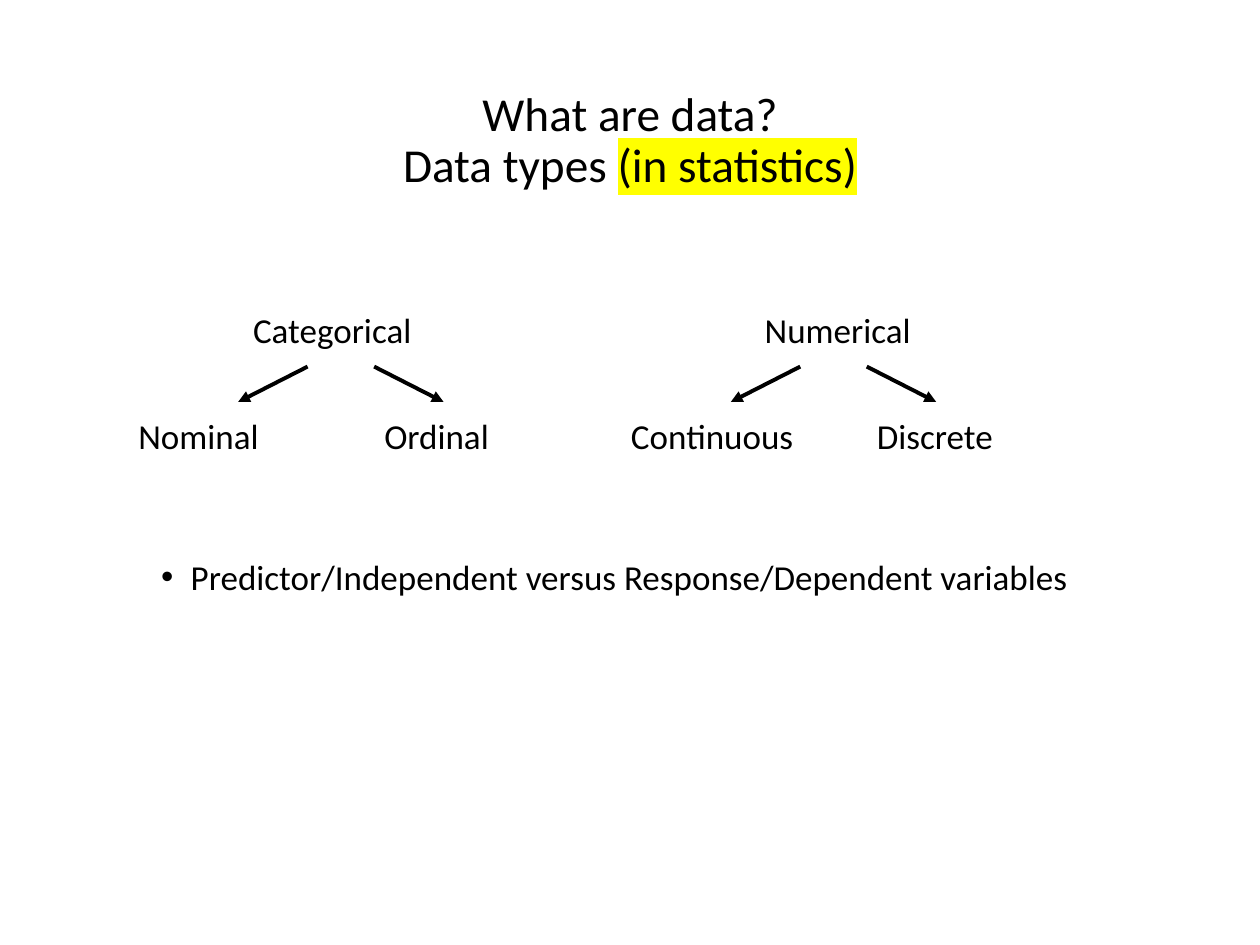
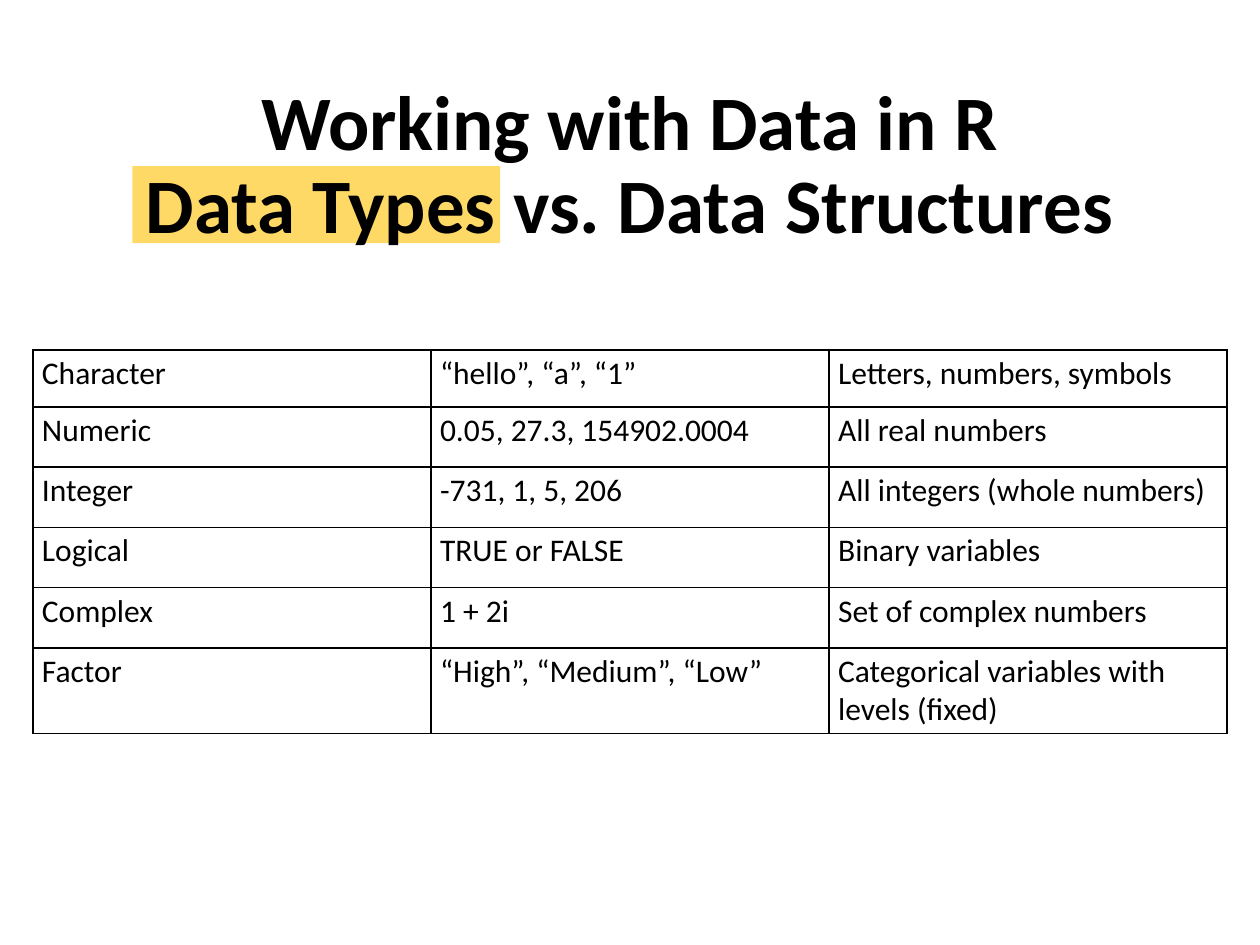
from lxml.etree import SubElement
from pptx import Presentation
from pptx.dml.color import RGBColor as RGB
from pptx.enum.shapes import MSO_CONNECTOR as CONN, MSO_SHAPE as SHAPE
from pptx.enum.text import MSO_ANCHOR as ANCHOR, PP_ALIGN as ALIGN
from pptx.oxml.ns import qn
from pptx.util import Pt

FONT = "Calibri"
COLORS = {"ink": "000000", "marker": "FFFF00", "band": "FFD966"}
LABEL_SIZE, LABEL_HEIGHT = 20, 31.7
TREES = [
    (72, "Categorical", 65.5, ["Nominal", "Ordinal"]),
    (353.5, "Numerical", 76.4, ["Continuous", "Discrete"]),
]
R_TYPES = [
    ["Character", "“hello”, “a”, “1”", "Letters, numbers, symbols"],
    ["Numeric", "0.05, 27.3, 154902.0004", "All real numbers"],
    ["Integer", "-731, 1, 5, 206", "All integers (whole numbers)"],
    ["Logical", "TRUE or FALSE", "Binary variables"],
    ["Complex", "1 + 2i", "Set of complex numbers"],
    ["Factor", "“High”, “Medium”, “Low”", "Categorical variables with levels (fixed)"],
]
ROW_HEIGHTS = [32.6] + [34.4] * 4 + [49]


def rgb(name):
    """Return a named colour."""
    return RGB.from_string(COLORS[name])


def add_run(p, text, size, bold=False, highlight=None):
    """Add one styled run, with an optional highlight colour."""
    r = p.add_run()
    r.text = text
    r.font.size, r.font.bold, r.font.name = Pt(size), bold, FONT
    r.font.color.rgb = rgb("ink")
    if highlight:
        rpr = r.font._element
        mark = SubElement(rpr, qn("a:highlight"))
        SubElement(mark, qn("a:srgbClr"), val=COLORS[highlight])
        rpr.find(qn("a:solidFill")).addnext(mark)


def add_box(s, x, y, w, h):
    """Add a wrapping text box and return its text frame."""
    tf = s.shapes.add_textbox(Pt(x), Pt(y), Pt(w), Pt(h)).text_frame
    tf.word_wrap = True
    return tf


def add_title(s, y, size, lines, bold=False):
    """Add a centred title; each line is a list of (text, highlight) pairs."""
    tf = add_box(s, 49.7, y, 620.6, 104.4)
    tf.vertical_anchor = ANCHOR.MIDDLE
    p = tf.paragraphs[0]
    p.alignment, p.line_spacing = ALIGN.CENTER, 0.9
    for i, line in enumerate(lines):
        if i:
            p.add_line_break()
        for text, highlight in line:
            add_run(p, text, size, bold, highlight)


def add_label(s, x, y, w, text, bullet=False):
    """Add a one-line label, with a hanging bullet if asked."""
    p = add_box(s, x, y, w, LABEL_HEIGHT).paragraphs[0]
    if bullet:
        ppr = p._p.get_or_add_pPr()
        ppr.set("marL", str(Pt(16.9)))
        ppr.set("indent", str(Pt(-16.9)))
        SubElement(ppr, qn("a:buFont"), typeface="Arial")
        SubElement(ppr, qn("a:buChar"), char="•")
    add_run(p, text, LABEL_SIZE)


def add_arrow(s, x1, y1, x2, y2):
    """Add a straight arrow pointing at the second point."""
    c = s.shapes.add_connector(CONN.STRAIGHT, Pt(x1), Pt(y1), Pt(x2), Pt(y2))
    c.line.color.rgb, c.line.width = rgb("ink"), Pt(2.25)
    SubElement(c.line._get_or_add_ln(), qn("a:tailEnd"), type="triangle")
    SubElement(c._element.spPr, qn("a:effectLst"))


def add_tree(s, x, parent, indent, children):
    """Add a parent label with arrows to two child labels."""
    add_label(s, x + indent, 172.8, 148, parent)
    middle = x + 122.8
    for i, child in enumerate(children):
        side = 2 * i - 1
        add_label(s, x + i * 140.5, 233.3, 117.4, child)
        add_arrow(s, middle + side * 19, 209.5, middle + side * 58.7, 229.7)


def add_band(s, x, y, w, h):
    """Add a plain colour band behind text."""
    sp = s.shapes.add_shape(SHAPE.RECTANGLE, Pt(x), Pt(y), Pt(w), Pt(h))
    sp.shadow.inherit = False
    sp.fill.solid()
    sp.fill.fore_color.rgb = rgb("band")
    sp.line.fill.background()


def style_cell(cell, text):
    """Fill a cell with text, insets and a full border."""
    cell.margin_left = cell.margin_right = Pt(5.2)
    cell.margin_top = cell.margin_bottom = Pt(2.6)
    add_run(cell.text_frame.paragraphs[0], text, 18)
    tcpr = cell._tc.get_or_add_tcPr()
    for side in "LRTB":
        ln = SubElement(tcpr, qn(f"a:ln{side}"), w=str(Pt(1)))
        fill = SubElement(ln, qn("a:solidFill"))
        SubElement(fill, qn("a:srgbClr"), val=COLORS["ink"])
    cell.fill.background()


def add_grid(s, x, y, w, rows, heights):
    """Add a bordered table with equal columns."""
    n = len(rows[0])
    table = s.shapes.add_table(len(rows), n, Pt(x), Pt(y), Pt(w), Pt(sum(heights))).table
    table.first_row = table.horz_banding = False
    for i, (row, height) in enumerate(zip(rows, heights)):
        table.rows[i].height = Pt(height)
        for j, text in enumerate(row):
            style_cell(table.cell(i, j), text)


def main():
    """Build both slides and save the deck."""
    prs = Presentation()
    prs.slide_width, prs.slide_height = Pt(720), Pt(540)
    blank = prs.slide_layouts[6]

    s = prs.slides.add_slide(blank)
    add_title(s, 28.8, 27, [
        [("What are data?", None)],
        [("Data types ", None), ("(in statistics)", "marker")],
    ])
    for tree in TREES:
        add_tree(s, *tree)
    add_label(s, 85, 313.9, 550, "Predictor/Independent versus Response/Dependent variables", bullet=True)

    s = prs.slides.add_slide(blank)
    add_band(s, 75.6, 95, 210.2, 43.9)
    add_title(s, 43.2, 44, [
        [("Working with Data in R", None)],
        [("Data Types vs. Data Structures", None)],
    ], bold=True)
    add_grid(s, 18.8, 200, 682.5, R_TYPES, ROW_HEIGHTS)

    prs.save("out.pptx")


if __name__ == "__main__":
    main()
